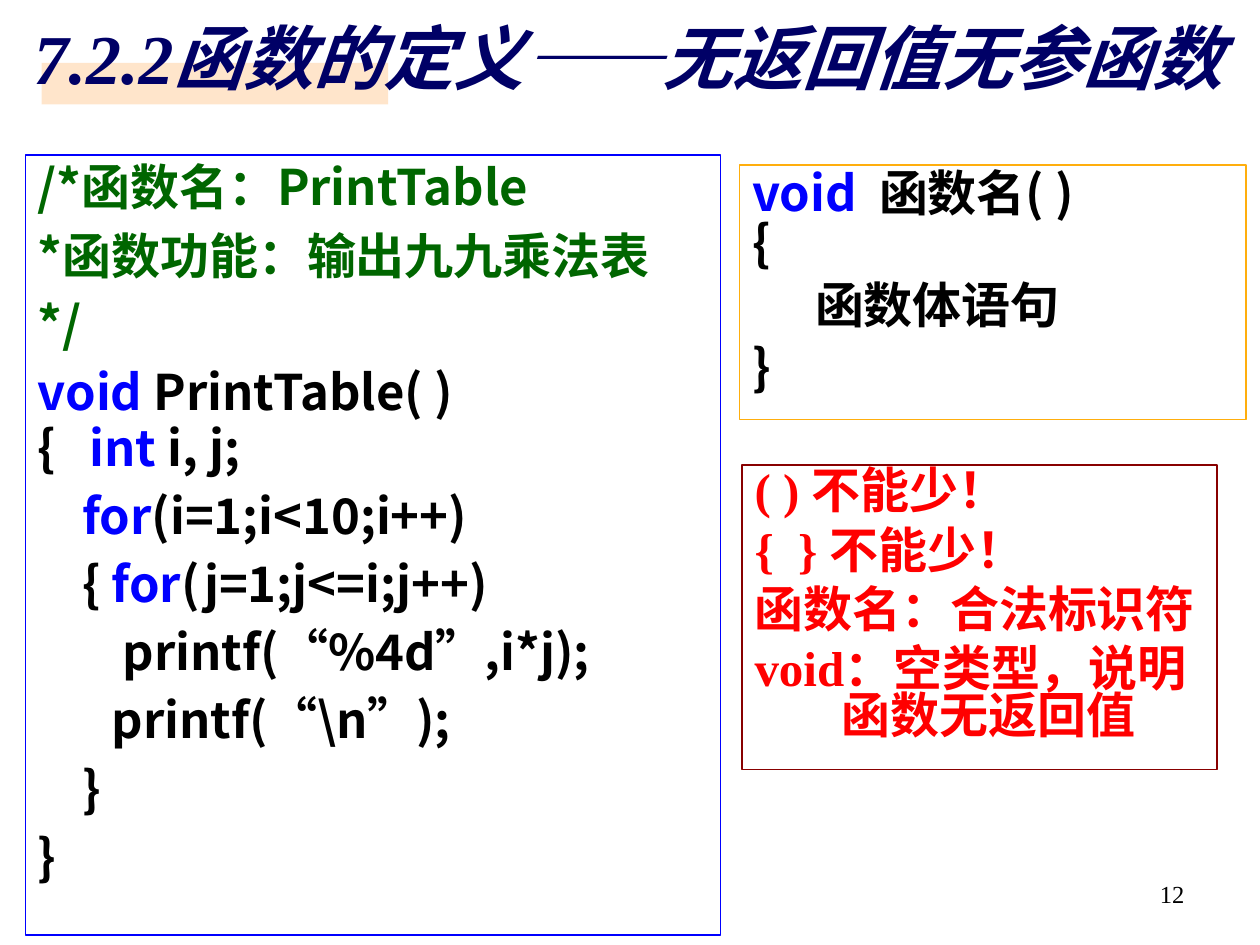
from lxml import etree
from pptx import Presentation
from pptx import util as u
from pptx.dml.color import RGBColor
from pptx.enum import shapes, text
from pptx.oxml.ns import qn

COLORS = {
    "title": "000066", "band": "FFCC99", "white": "FFFFFF", "black": "000000",
    "keyword": "0000FF", "comment": "006600", "warning": "FF0000",
    "code_edge": "0000FF", "syntax_edge": "FFAE0D", "rules_edge": "880000",
}
SANS, SERIF = "Noto Sans CJK SC", "Times New Roman"

TITLE = "7.2.2函数的定义——无返回值无参函数"
PAGE_NUMBER = "12"

# Each paragraph is a list of (text, colour name); "\n" is a line break.
SYNTAX = [
    [("void  ", "keyword"), ("函数名( )\n{", "black")],
    [("\t函数体语句", "black")],
    [("}", "black")],
]
RULES = [[(rule, "warning")] for rule in (
    "( ) 不能少！",
    "{  } 不能少！",
    "函数名：合法标识符",
    "void：空类型，说明函数无返回值",
)]
CODE = [
    [("/*函数名：PrintTable", "comment")],
    [("*函数功能：输出九九乘法表", "comment")],
    [("*/", "comment")],
    [("void", "keyword"), (" PrintTable( )\n{   ", "black"),
     ("int ", "keyword"), ("i, j;", "black")],
    [("    ", "black"), ("for", "keyword"), ("(i=1;i<10;i++)", "black")],
    [("    { ", "black"), ("for", "keyword"), ("(j=1;j<=i;j++)", "black")],
    [("\t  printf(“%4d”,i*j);", "black")],
    [("\t printf(“\\n”);", "black")],
    [("    }", "black")],
    [("}", "black")],
]

# place, edge colour, fill colour, paragraphs, text format
PANELS = [
    ((5.87, 1.31, 4.02, 2.02), "syntax_edge", None, SYNTAX,
     dict(font=SANS, line_spacing=0.85)),
    ((5.89, 3.69, 3.77, 2.42), "rules_edge", None, RULES,
     dict(font=SERIF, line_spacing=0.8, hanging=0.69)),
    ((0.2, 1.23, 5.52, 6.19), "code_edge", "white", CODE,
     dict(font=SANS, line_spacing=0.95)),
]


def color(name):
    return RGBColor.from_string(COLORS[name])


def inches(place):
    return [u.Inches(length) for length in place]


def write(frame, paragraphs, font=SANS, size=28, bold=True, italic=False,
          align=text.PP_ALIGN.LEFT, anchor=text.MSO_ANCHOR.TOP,
          line_spacing=1.0, space_before=7, hanging=0):
    frame.word_wrap = True
    frame.auto_size = text.MSO_AUTO_SIZE.NONE
    frame.vertical_anchor = anchor
    for index, pieces in enumerate(paragraphs):
        paragraph = frame.add_paragraph() if index else frame.paragraphs[0]
        paragraph.alignment = align
        paragraph.line_spacing = line_spacing
        paragraph.space_before = u.Pt(space_before if index else 0)
        if hanging:
            properties = paragraph._p.get_or_add_pPr()
            properties.set("marL", str(u.Inches(hanging)))
            properties.set("indent", str(-u.Inches(hanging)))
        for words, shade in pieces:
            for row, line in enumerate(words.split("\n")):
                if row:
                    paragraph.add_line_break()
                run = paragraph.add_run()
                run.text = line
                run.font.size = u.Pt(size)
                run.font.bold, run.font.italic = bold, italic
                run.font.color.rgb = color(shade)
                run.font.name = font
                latin = run._r.rPr.find(qn("a:latin"))
                east_asian = etree.Element(qn("a:ea"), typeface=SANS)
                latin.addnext(east_asian)


def add_text_shadow(run):
    effects = etree.Element(qn("a:effectLst"))
    shadow = etree.SubElement(effects, qn("a:outerShdw"),
                              dist="38100", dir="2700000")
    etree.SubElement(shadow, qn("a:srgbClr"), val=COLORS["black"])
    run._r.rPr.find(qn("a:solidFill")).addnext(effects)


def add_rectangle(slide, place, fill=None, edge=None):
    rectangle = slide.shapes.add_shape(
        shapes.MSO_SHAPE.RECTANGLE, *inches(place))
    rectangle.shadow.inherit = False
    if fill:
        rectangle.fill.solid()
        rectangle.fill.fore_color.rgb = color(fill)
    else:
        rectangle.fill.background()
    if edge:
        rectangle.line.color.rgb = color(edge)
        rectangle.line.width = u.Pt(0.75)
    else:
        rectangle.line.fill.background()
    return rectangle


def add_band(slide):
    """Half-transparent bar behind the title."""
    band = add_rectangle(slide, (0.33, 0.5, 2.75, 0.33), fill="band")
    shade = band._element.spPr.find(qn("a:solidFill"))[0]
    etree.SubElement(shade, qn("a:alpha"), val="50000")
    slide.shapes._spTree.insert(2, band._element)


def main():
    deck = Presentation()
    deck.slide_width, deck.slide_height = u.Inches(10), u.Inches(7.5)
    slide = deck.slides.add_slide(deck.slide_layouts[5])

    add_band(slide)
    title = slide.shapes.title
    title.left, title.top, title.width, title.height = inches(
        (0.1, 0.39, 9.77, 0.92))
    write(title.text_frame, [[(TITLE, "title")]], font=SERIF, size=40,
          italic=True, align=text.PP_ALIGN.CENTER,
          anchor=text.MSO_ANCHOR.MIDDLE, line_spacing=0.85)
    title.text_frame.margin_bottom = u.Inches(0.75)  # lifts the line onto the band
    add_text_shadow(title.text_frame.paragraphs[0].runs[0])

    for place, edge, fill, paragraphs, style in PANELS:
        panel = add_rectangle(slide, place, fill, edge)
        write(panel.text_frame, paragraphs, **style)

    page = slide.shapes.add_textbox(*inches((7.17, 6.93, 2.33, 0.52)))
    write(page.text_frame, [[(PAGE_NUMBER, "black")]], font=SERIF, size=14,
          bold=False, align=text.PP_ALIGN.RIGHT)
    deck.save("out.pptx")


if __name__ == "__main__":
    main()
